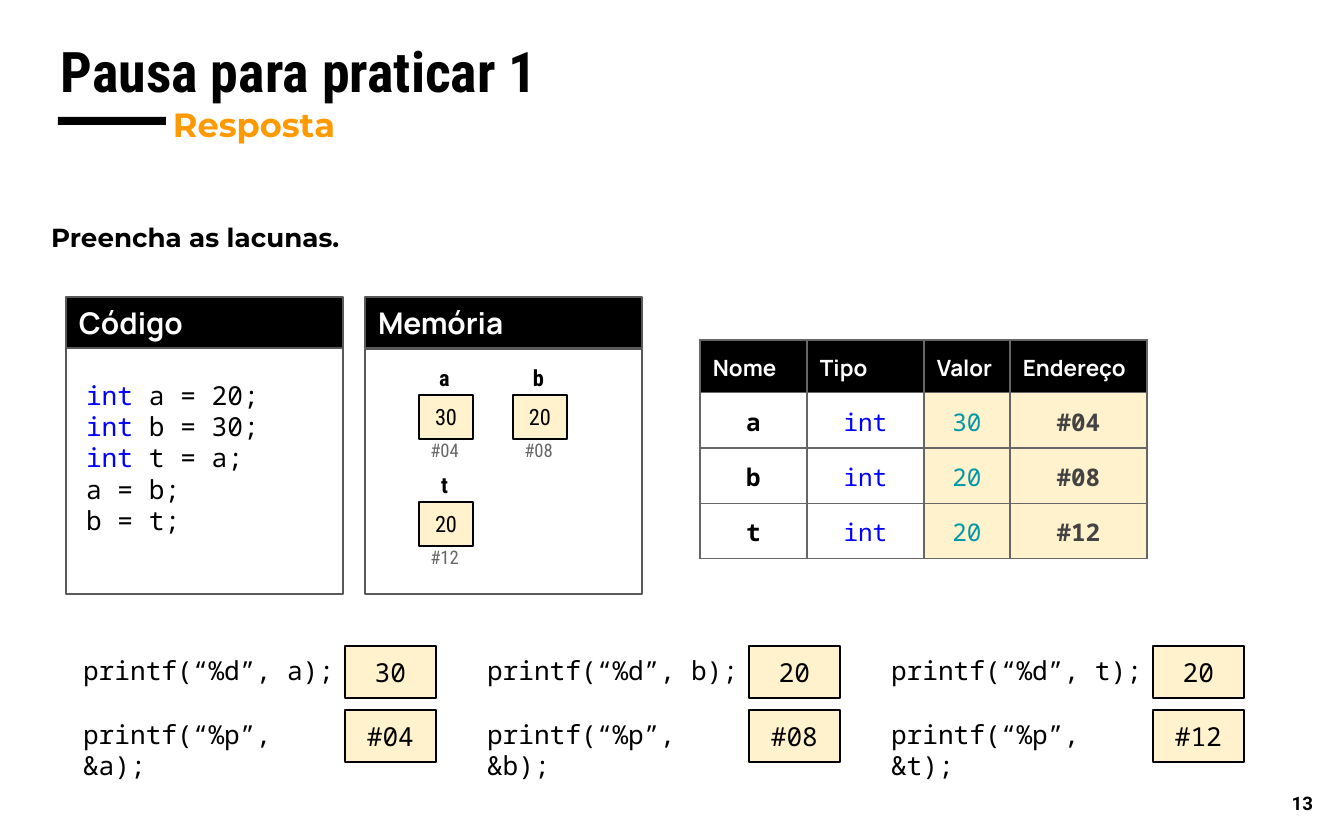
from dataclasses import dataclass

from lxml.etree import SubElement
from pptx import Presentation
from pptx.dml.color import RGBColor
from pptx.enum.shapes import MSO_SHAPE
from pptx.enum.text import MSO_ANCHOR, PP_ALIGN
from pptx.oxml.ns import qn
from pptx.util import Pt

SCALE = 914400 / 134.4
PAD = (13, 13, 13, 13)
NONE = (0, 0, 0, 0)
MID = MSO_ANCHOR.MIDDLE
LEFT, CENTER, RIGHT = PP_ALIGN.LEFT, PP_ALIGN.CENTER, PP_ALIGN.RIGHT


@dataclass(frozen=True)
class Theme:
    """Colours, fonts and type sizes."""
    black: str = "000000"
    white: str = "FFFFFF"
    cream: str = "FFF2CC"
    orange: str = "FF9900"
    blue: str = "0000FF"
    teal: str = "0097A7"
    dark: str = "434343"
    edge: str = "595959"
    gray: str = "666666"
    cond: str = "Roboto Condensed"
    sans: str = "Roboto"
    mont: str = "Montserrat"
    head: str = "Manrope"
    mono: str = "Noto Sans Mono"
    title: int = 30
    sub: int = 18
    panel: int = 16
    body: int = 14
    value: int = 13
    small: int = 12
    tiny: int = 10


T = Theme()


def px(n):
    """Turn picture pixels into EMU."""
    return round(n * SCALE)


def style(run, font, size, color, bold=False):
    """Format one run."""
    run.font.name, run.font.size, run.font.bold = font, Pt(size), bold
    run.font.color.rgb = RGBColor.from_string(color)


def write(frame, text, look, align=LEFT, anchor=MSO_ANCHOR.TOP, pad=PAD):
    """Fill a text frame with text in one look."""
    frame.text = text
    frame.word_wrap = True
    frame.vertical_anchor = anchor
    (frame.margin_left, frame.margin_top,
     frame.margin_right, frame.margin_bottom) = map(px, pad)
    for para in frame.paragraphs:
        para.alignment = align
        for run in para.runs:
            style(run, *look)


def label(slide, box, text, look, **opts):
    """Place a text box and return its frame."""
    frame = slide.shapes.add_textbox(*map(px, box)).text_frame
    write(frame, text, look, **opts)
    return frame


def block(slide, box, fill, line=None, width=0.75):
    """Place a plain rectangle."""
    shape = slide.shapes.add_shape(MSO_SHAPE.RECTANGLE, *map(px, box))
    shape.shadow.inherit = False
    shape.fill.solid()
    shape.fill.fore_color.rgb = RGBColor.from_string(fill)
    if line:
        shape.line.color.rgb = RGBColor.from_string(line)
        shape.line.width = Pt(width)
    else:
        shape.line.fill.background()
    return shape


def header(slide, x, y):
    """Place the title, its bar and the subtitle."""
    block(slide, (x + 10, y + 93, 108, 8), T.black)
    label(slide, (x, y, 1253, 94), "Pausa para praticar 1",
          (T.cond, T.title, T.black, True))
    frame = label(slide, (x + 112, y + 61, 485, 66), "Resposta",
                  (T.mont, T.sub, T.orange, True))
    para = frame.paragraphs[0]
    para.line_spacing, para.space_after = 1.15, Pt(16)


def panel(slide, box, name, top):
    """Place a framed panel with a black heading."""
    x, y, w, h = box
    block(slide, (x, y + top, w, h - top), T.white, T.edge)
    head = block(slide, (x, y, w, 51), T.black, T.edge)
    write(head.text_frame, name, (T.head, T.panel, T.white, True), anchor=MID)


def code(slide, box, lines):
    """Place the code panel, with types in blue."""
    x, y, w, h = box
    panel(slide, box, "Código", 46)
    look = (T.mono, T.body, T.black)
    frame = label(slide, (x + 7, y + 69, w - 7, 211), "\n".join(lines), look)
    for para in frame.paragraphs:
        if para.text.startswith("int "):
            rest = para.text[4:]
            para.text = "int "
            style(para.runs[0], T.mono, T.body, T.blue)
            run = para.add_run()
            run.text = rest
            style(run, *look)


def memory(slide, box, data):
    """Place the memory panel with its cells, two in a row."""
    panel(slide, box, "Memória", 52)
    for i, (name, value, place) in enumerate(data):
        x = box[0] + 54 + i % 2 * 94
        y = box[1] + 98 + i // 2 * 107
        cell = block(slide, (x, y, 54, 44), T.cream, T.black, 1.5)
        write(cell.text_frame, value, (T.cond, T.small, T.black),
              align=CENTER, anchor=MID, pad=NONE)
        label(slide, (x - 3, y - 31, 57, 27), name,
              (T.cond, T.small, T.black, True), align=CENTER, pad=NONE)
        label(slide, (x, y + 44, 54, 27), place,
              (T.cond, T.tiny, T.gray), align=CENTER, pad=(0, 0, 3, 0))


def border(cell):
    """Draw thin grey lines on all four sides of a cell."""
    props = cell._tc.get_or_add_tcPr()
    for i, side in enumerate(("a:lnL", "a:lnR", "a:lnT", "a:lnB")):
        line = props.makeelement(qn(side), {"w": str(Pt(0.75))})
        fill = SubElement(line, qn("a:solidFill"))
        SubElement(fill, qn("a:srgbClr"), val=T.gray)
        props.insert(i, line)


def grid(slide, x, y, data):
    """Place the table of variables."""
    cols, rows = (107, 117, 86, 137), (48, 51, 51, 51)
    table = slide.shapes.add_table(
        len(rows), len(cols), *map(px, (x, y, sum(cols), sum(rows)))).table
    table.first_row = table.horz_banding = False
    for col, w in zip(table.columns, cols):
        col.width = px(w)
    for row, h in zip(table.rows, rows):
        row.height = px(h)
    top = [(T.head, T.small, T.white, True)] * 4
    looks = [(T.mono, T.value, color, bold) for color, bold in
             ((T.black, True), (T.blue, False), (T.teal, False), (T.dark, True))]
    words = [("Nome", "Tipo", "Valor", "Endereço")]
    words += [(name, "int", value, place) for name, value, place in data]
    for r, line in enumerate(words):
        for c, text in enumerate(line):
            cell = table.cell(r, c)
            write(cell.text_frame, text, (looks if r else top)[c],
                  align=CENTER if r else LEFT)
            (cell.margin_left, cell.margin_top,
             cell.margin_right, cell.margin_bottom) = map(px, PAD)
            fill = T.cream if c > 1 else T.white
            cell.fill.solid()
            cell.fill.fore_color.rgb = RGBColor.from_string(fill if r else T.black)
            border(cell)


def prints(slide, x, y, item):
    """Place the two printf calls of a variable and their answers."""
    name, value, place = item
    look = (T.mono, T.body, T.black)
    calls = ((f"printf(“%d”, {name});", value), (f"printf(“%p”, &{name});", place))
    for i, (text, answer) in enumerate(calls):
        top = y + i * 64
        label(slide, (x, top, 270, 64), text, look, pad=(13, 13, 0, 13))
        box = block(slide, (x + 275, top + 5, 91, 52), T.cream, T.black)
        write(box.text_frame, answer, look, align=CENTER, anchor=MID,
              pad=(13, 0, 13, 0))


def main():
    """Build and save the slide."""
    deck = Presentation()
    deck.slide_width, deck.slide_height = px(1344), px(840)
    slide = deck.slides.add_slide(deck.slide_layouts[6])
    data = (("a", "30", "#04"), ("b", "20", "#08"), ("t", "20", "#12"))
    header(slide, 48, 24)
    label(slide, (38, 208, 887, 51), "Preencha as lacunas.",
          (T.mont, T.body, T.black, True))
    code(slide, (66, 297, 277, 297),
         ("int a = 20;", "int b = 30;", "int t = a;", "a = b;", "b = t;"))
    memory(slide, (365, 297, 277, 297), data)
    grid(slide, 700, 340, data)
    for i, item in enumerate(data):
        prints(slide, 70 + i * 404, 641, item)
    label(slide, (1246, 771, 80, 65), "13", (T.sans, T.tiny, T.black, True),
          align=RIGHT, anchor=MID)
    deck.save("out.pptx")


main()
